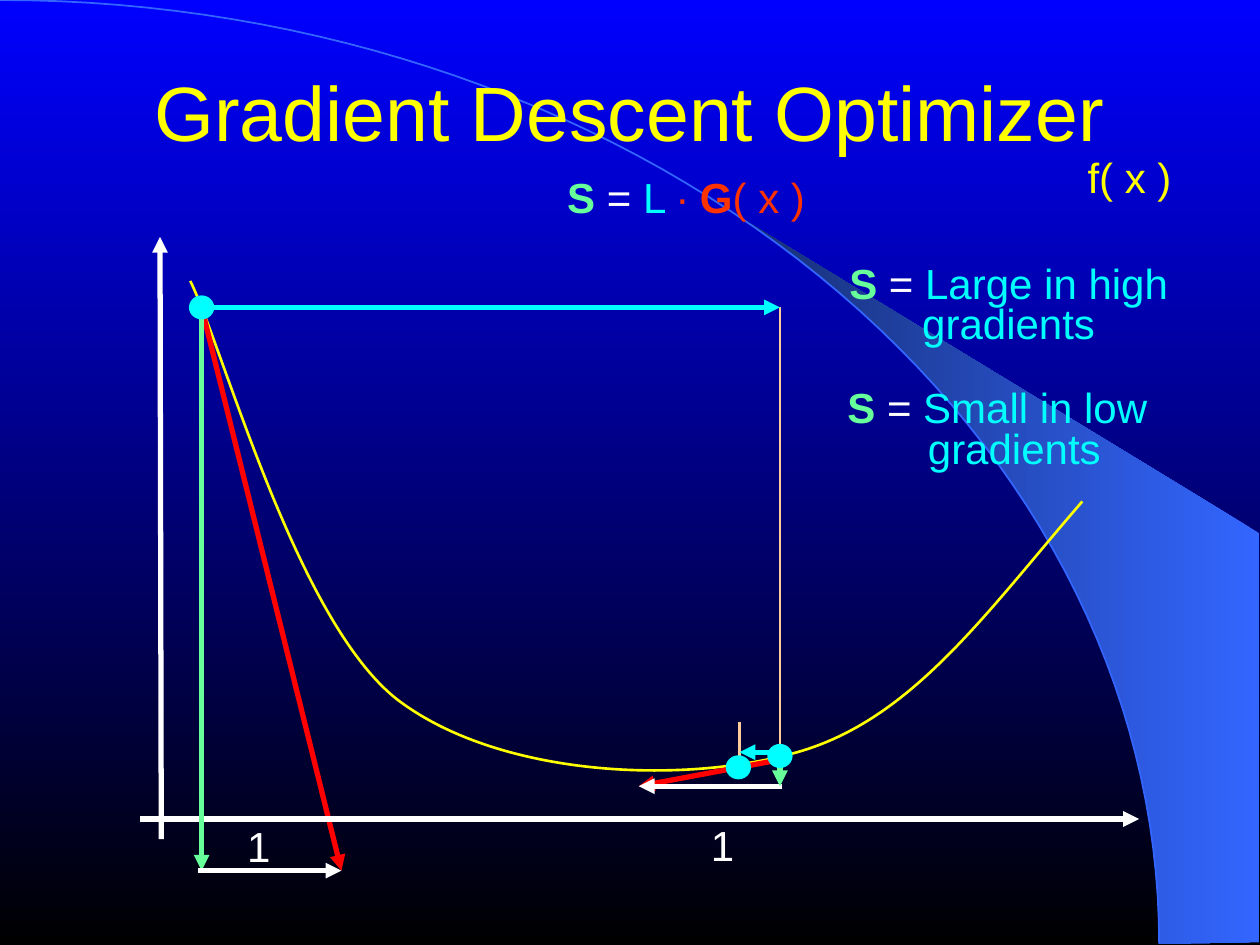
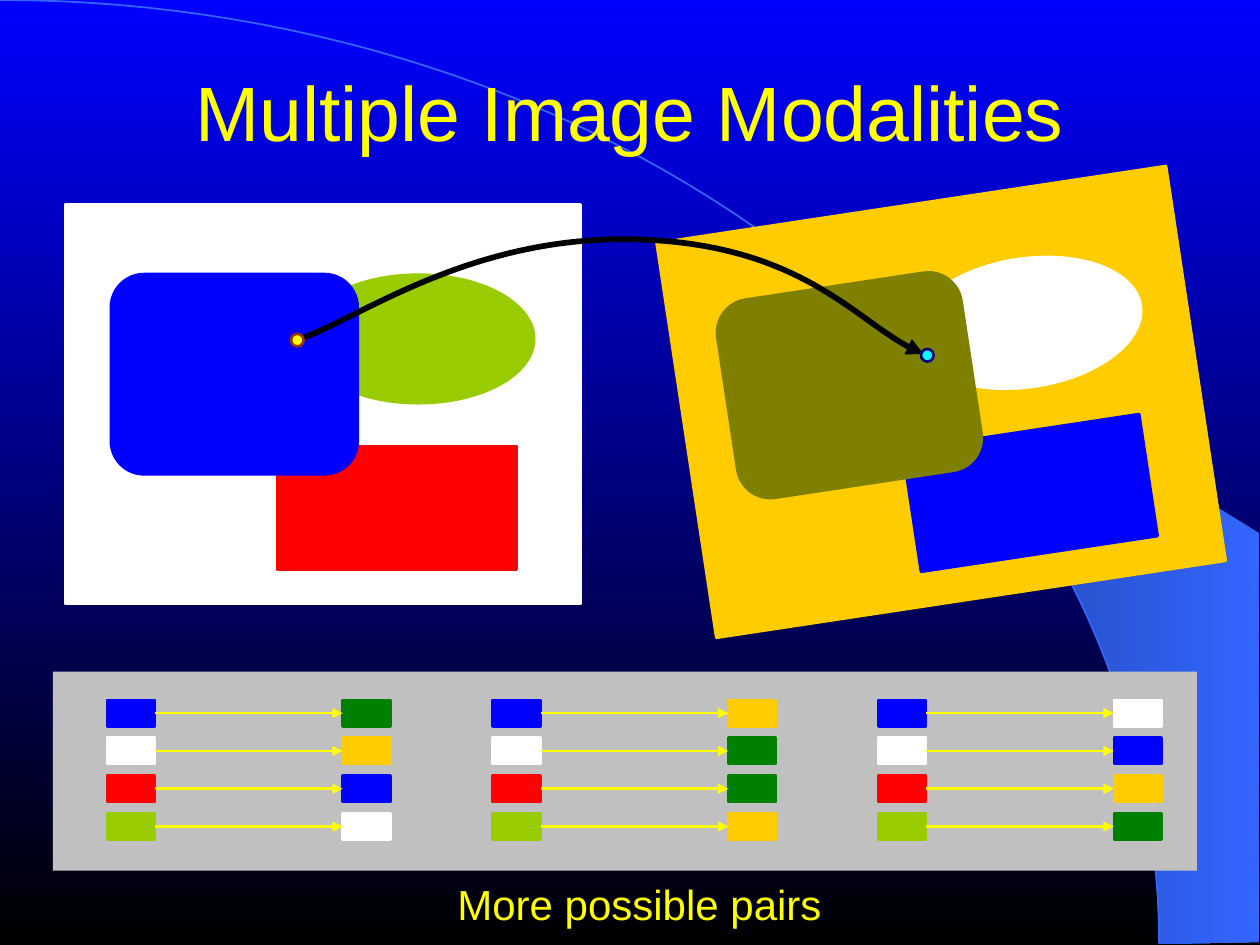
from math import cos, radians, sin

from lxml.etree import SubElement
from pptx import Presentation
from pptx.dml.color import RGBColor
from pptx.enum.shapes import MSO_CONNECTOR, MSO_SHAPE as Shape
from pptx.enum.text import MSO_ANCHOR, MSO_AUTO_SIZE as AutoSize, PP_ALIGN
from pptx.oxml.ns import qn
from pptx.util import Inches, Pt

FONT = "Arial"
YELLOW, WHITE, CYAN, MINT = "FFFF00", "FFFFFF", "00FFFF", "66FF99"
RED, ORANGE, PEACH, BLACK = "FF0000", "FF3300", "FFCC99", "000000"
BLUE, LIGHT_BLUE, DARK_BLUE, NAVY = "0000FF", "3366FF", "172F75", "000080"
GOLD, GREEN, LIME, OLIVE = "FFCC00", "008000", "99CC00", "808000"
BROWN, GREY = "993300", "C0C0C0"


def color(hex_value):
    return RGBColor.from_string(hex_value)


def paint_gradient(fill, start, end, angle):
    fill.gradient()
    fill.gradient_angle = angle
    for stop, hex_value in zip(fill.gradient_stops, (start, end)):
        stop.color.rgb = color(hex_value)


def quarter_arc(start_degrees, steps):
    angles = [radians(start_degrees * (1 - step / steps)) for step in range(steps + 1)]
    return [(9.2 * cos(angle), 7.49 * (1 - sin(angle))) for angle in angles]


class Deck:
    def __init__(self):
        self.presentation = Presentation()
        self.presentation.slide_width = Inches(10)
        self.presentation.slide_height = Inches(7.5)
        self.layout = self.presentation.slide_layouts[5]
        self.slide = None

    def new_slide(self, title):
        first = self.slide is None
        self.slide = self.presentation.slides.add_slide(self.layout)
        if first:
            self.decorate_layout()
        placeholder = self.slide.shapes.title
        placeholder.left, placeholder.top = Inches(0.75), Inches(0.12)
        placeholder.width, placeholder.height = Inches(8.5), Inches(1.51)
        frame = placeholder.text_frame
        frame.text = title
        frame.auto_size = AutoSize.NONE
        frame.vertical_anchor = MSO_ANCHOR.MIDDLE
        frame.margin_left = frame.margin_right = 0
        frame.margin_top = frame.margin_bottom = 0
        paragraph = frame.paragraphs[0]
        paragraph.alignment = PP_ALIGN.CENTER
        self.format_run(paragraph.runs[0], YELLOW, 44)

    def decorate_layout(self):
        paint_gradient(self.layout.background.fill, BLUE, BLACK, 270)
        crescent = self.outline(quarter_arc(50.2, 30) + [(9.99, 7.48), (9.99, 4.23)], True)
        paint_gradient(crescent.fill, LIGHT_BLUE, DARK_BLUE, 180)
        crescent.line.fill.background()
        arc = self.outline(quarter_arc(90, 62))
        arc.fill.background()
        self.style_line(arc, LIGHT_BLUE, 1)
        for number, shape in enumerate((crescent, arc), 100):
            shape.element.nvSpPr.cNvPr.set("id", str(number))
            self.layout.shapes.element.append(shape.element)

    def format_run(self, run, hex_value, size=24, bold=False):
        run.font.name = FONT
        run.font.size = Pt(size)
        run.font.bold = bold
        run.font.color.rgb = color(hex_value)

    def style_line(self, shape, hex_value, width, arrow=False):
        shape.line.color.rgb = color(hex_value)
        shape.line.width = Pt(width)
        if arrow:
            line = shape.element.spPr.find(qn("a:ln"))
            SubElement(line, qn("a:tailEnd"), type="triangle")

    def outline(self, points, close=False):
        corners = [(Inches(x), Inches(y)) for x, y in points]
        builder = self.slide.shapes.build_freeform(*corners[0])
        builder.add_line_segments(corners[1:], close=close)
        shape = builder.convert_to_shape()
        shape.shadow.inherit = False
        return shape

    def curve(self, points, hex_value, width, arrow=False):
        shape = self.outline(points)
        path = shape.element.xpath(".//a:path")[0]
        segments = path.findall(qn("a:lnTo"))
        for first in range(0, len(segments), 3):
            cubic = SubElement(path, qn("a:cubicBezTo"))
            for segment in segments[first:first + 3]:
                cubic.append(segment[0])
                path.remove(segment)
        shape.fill.background()
        self.style_line(shape, hex_value, width, arrow)

    def shape(self, kind, center, size, fill, line=None, rotation=0):
        (x, y), (width, height) = center, size
        shape = self.slide.shapes.add_shape(
            kind, Inches(x - width / 2), Inches(y - height / 2), Inches(width), Inches(height))
        shape.shadow.inherit = False
        shape.rotation = rotation
        shape.fill.solid()
        shape.fill.fore_color.rgb = color(fill)
        if line:
            self.style_line(shape, line, 1.5)
        else:
            shape.line.fill.background()
        return shape

    def line(self, start, end, hex_value, width=3, arrow=True):
        connector = self.slide.shapes.add_connector(
            MSO_CONNECTOR.STRAIGHT, *[Inches(value) for value in (*start, *end)])
        self.style_line(connector, hex_value, width, arrow)
        SubElement(connector.element.spPr, qn("a:effectLst"))
        return connector

    def label(self, left, top, width, height, *lines, wrap=True, later_indent=0):
        box = self.slide.shapes.add_textbox(
            Inches(left), Inches(top), Inches(width), Inches(height))
        frame = box.text_frame
        frame.word_wrap = wrap
        frame.auto_size = AutoSize.SHAPE_TO_FIT_TEXT
        for index, runs in enumerate(lines):
            paragraph = frame.add_paragraph() if index else frame.paragraphs[0]
            if index:
                paragraph._p.get_or_add_pPr().set("marL", str(Inches(later_indent)))
            paragraph.alignment = PP_ALIGN.CENTER
            paragraph.line_spacing = 0.8
            for text, hex_value, *bold in runs:
                run = paragraph.add_run()
                run.text = text
                self.format_run(run, hex_value, bold=bool(bold))

    def dot(self, center):
        self.shape(Shape.OVAL, center, (0.18, 0.17), CYAN, CYAN)

    def scene(self, center, angle, colors):
        parts = [
            (Shape.RECTANGLE, (0, 0), (4.09, 3.17)),
            (Shape.OVAL, (0.76, -0.52), (1.84, 1.02)),
            (Shape.RECTANGLE, (0.59, 0.82), (1.9, 0.98)),
            (Shape.ROUNDED_RECTANGLE, (-0.7, -0.24), (1.96, 1.59)),
        ]
        turn = radians(angle)
        for (kind, (x, y), size), fill in zip(parts, colors):
            place = (center[0] + x * cos(turn) - y * sin(turn),
                     center[1] + x * sin(turn) + y * cos(turn))
            self.shape(kind, place, size, fill, fill, angle)

    def pair(self, left, top, source_color, target_color):
        size = (0.38, 0.21)
        middle = top + 0.1
        source, target = [
            self.shape(Shape.RECTANGLE, (x, middle), size, fill, fill)
            for x, fill in ((left + 0.19, source_color), (left + 2.06, target_color))]
        connector = self.line((left + 0.38, middle), (left + 1.87, middle), YELLOW, 1.5)
        connector.begin_connect(source, 3)
        connector.end_connect(target, 1)


def gradient_descent(deck):
    deck.new_slide("Gradient Descent Optimizer")
    start, overshoot, settled = (1.6, 2.44), (6.19, 6), (5.86, 6.09)
    deck.label(8.15, 1.23, 1.63, 0.42, [("f( x )", YELLOW)])
    deck.curve([(1.51, 2.23), (1.78, 2.78), (2.35, 4.92), (3.15, 5.55),
                (3.96, 6.17), (5.42, 6.23), (6.33, 5.97),
                (7.24, 5.71), (7.82, 4.87), (8.59, 3.98)], YELLOW, 1.5)
    deck.line(start, (2.71, 6.91), RED)
    deck.line((1.28, 6.66), (1.27, 1.88), WHITE)
    deck.line((1.11, 6.5), (9.04, 6.5), WHITE)
    deck.line((6.19, 2.44), (6.19, 5.97), PEACH, 1.5, False)
    deck.line((6.19, 6.03), (5.07, 6.24), RED)
    deck.line((5.87, 5.73), (5.87, 6.16), PEACH, 1.5, False)
    deck.dot(settled)
    deck.line(start, (1.6, 6.91), MINT)
    deck.dot(start)
    deck.line((1.57, 6.91), (2.71, 6.91), WHITE)
    deck.line(start, (6.19, 2.44), CYAN)
    deck.line((6.21, 6.24), (5.07, 6.24), WHITE)
    for left, top in ((1.82, 6.54), (5.5, 6.53)):
        deck.label(left, top, 0.47, 0.42, [("1", WHITE)])
    deck.line((6.19, 5.98), (6.19, 6.24), MINT)
    deck.dot(overshoot)
    deck.line((6.19, 5.97), (5.87, 5.97), CYAN)
    step = [("S ", MINT, True), ("= ", WHITE)]
    deck.label(3.92, 1.39, 3.05, 0.42, step + [
        ("L ", CYAN), ("∙ ", ORANGE), ("G", ORANGE, True), ("( x )", ORANGE)])
    deck.label(6.48, 2.07, 3.05, 0.74, step + [("Large in high gradients", CYAN)])
    deck.label(6.39, 3.06, 3.05, 0.74, step + [("Small in low", CYAN)],
               [("gradients", CYAN)], later_indent=0.27)


def image_modalities(deck):
    deck.new_slide("Multiple Image Modalities")
    deck.shape(Shape.RECTANGLE, (4.96, 6.12), (9.08, 1.58), GREY)
    deck.scene((2.56, 3.21), 0, (WHITE, LIME, RED, BLUE))
    deck.scene((7.47, 3.19), -8.6, (GOLD, WHITE, BLUE, OLIVE))
    deck.curve([(2.35, 2.7), (2.79, 2.57), (3.68, 1.88), (5, 1.9),
                (6.32, 1.92), (6.85, 2.62), (7.33, 2.81)], BLACK, 3.25, True)
    deck.shape(Shape.OVAL, (7.36, 2.82), (0.1, 0.1), CYAN, NAVY)
    deck.shape(Shape.OVAL, (2.36, 2.7), (0.1, 0.1), YELLOW, BROWN)
    sources = (BLUE, WHITE, RED, LIME)
    target_columns = (
        (GREEN, GOLD, BLUE, WHITE),
        (GOLD, GREEN, GREEN, GOLD),
        (WHITE, BLUE, GOLD, GREEN),
    )
    for column, targets in enumerate(target_columns):
        for row, (source, target) in enumerate(zip(sources, targets)):
            deck.pair(0.85 + 3.06 * column, 5.56 + 0.3 * row, source, target)
    deck.label(3.53, 7, 3.09, 0.42, [("More possible pairs", YELLOW)], wrap=False)


def main():
    deck = Deck()
    gradient_descent(deck)
    image_modalities(deck)
    deck.presentation.save("out.pptx")


if __name__ == "__main__":
    main()
